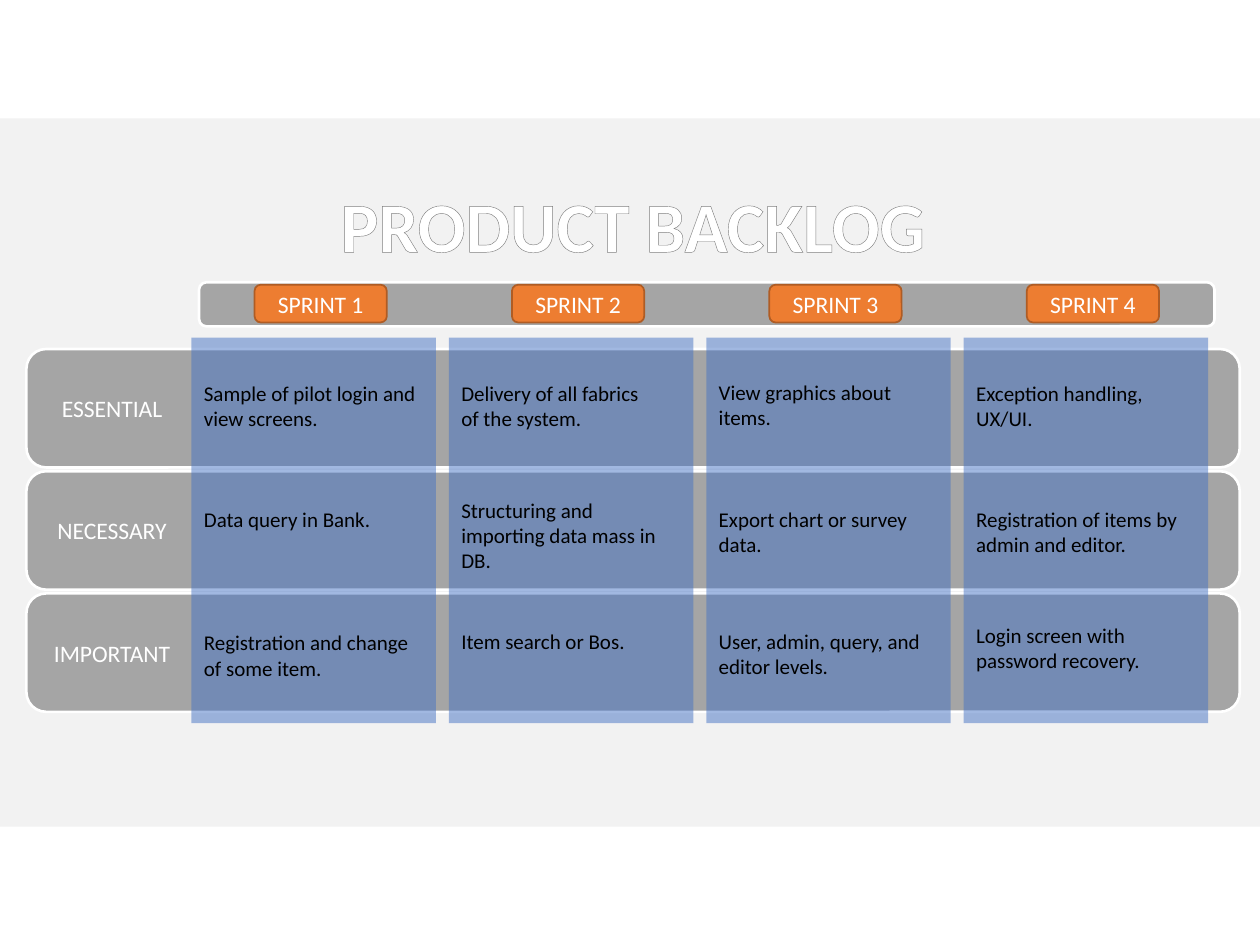
from lxml.etree import SubElement
from pptx import Presentation
from pptx.dml.color import RGBColor
from pptx.enum.shapes import MSO_SHAPE as SHAPE
from pptx.enum.text import MSO_ANCHOR as ANCHOR, MSO_AUTO_SIZE as AUTO_SIZE, PP_ALIGN as ALIGN
from pptx.oxml import parse_xml
from pptx.oxml.ns import nsdecls, qn
from pptx.util import Inches, Pt

TITLE = "PRODUCT BACKLOG"
PRIORITIES = ["ESSENTIAL", "NECESSARY", "IMPORTANT"]
SPRINTS = [
    ("SPRINT 1", [
        ("Sample of pilot login and view screens.", 2, 2.97),
        ("Data query in Bank.", 1, 3.97),
        ("Registration and change\nof some item.", 2, 4.95),
    ]),
    ("SPRINT 2", [
        ("Delivery of all fabrics\nof the system.", 2, 2.97),
        ("Structuring and importing data mass in DB.", 3, 3.9),
        ("Item search or Bos.", 1, 4.94),
    ]),
    ("SPRINT 3", [
        ("View graphics about items.", 2, 2.96),
        ("Export chart or survey data.", 2, 3.97),
        ("User, admin, query, and editor levels.", 2, 4.94),
    ]),
    ("SPRINT 4", [
        ("Exception handling, UX/UI.", 2, 2.97),
        ("Registration of items by admin and editor.", 2, 3.97),
        ("Login screen with password recovery.", 2, 4.89),
    ]),
]

THEME = {
    "font": "Calibri",
    "panel": "F2F2F2", "band": "A5A5A5", "white": "FFFFFF", "column": "4472C4",
    "badge": "ED7D31", "badge_line": "AF5C24", "story": "000000", "title_line": "808080",
    "title_size": 40.5, "label_size": 13.5, "story_size": 12,
}
COLUMN_LEFT, COLUMN_PITCH, COLUMN_WIDTH = 1.52, 2.043, 1.94
ROW_TOP, ROW_PITCH = 2.77, 0.97


def color(name):
    return RGBColor.from_string(THEME[name])


def add_block(slide, kind, box, fill=None, line=None, line_width=1.5):
    block = slide.shapes.add_shape(kind, *map(Inches, box))
    block.shadow.inherit = False
    if fill:
        block.fill.solid()
        block.fill.fore_color.rgb = color(fill)
    else:
        block.fill.background()
    if line:
        block.line.color.rgb = color(line)
        block.line.width = Pt(line_width)
    else:
        block.line.fill.background()
    return block


def write(frame, text, size, ink, align=ALIGN.LEFT, bold=False):
    frame.text = text
    for paragraph in frame.paragraphs:
        paragraph.alignment = align
        paragraph.font.name = THEME["font"]
        paragraph.font.size = Pt(THEME[size])
        paragraph.font.bold = bold
        paragraph.font.color.rgb = color(ink)


def add_label(block, text):
    block.text_frame.vertical_anchor = ANCHOR.MIDDLE
    write(block.text_frame, text, "label_size", "white", ALIGN.CENTER)


def add_title(slide):
    frame = slide.shapes.add_textbox(*map(Inches, (2.61, 1.4, 4.83, 0.76))).text_frame
    frame.word_wrap = False
    frame.auto_size = AUTO_SIZE.SHAPE_TO_FIT_TEXT
    frame.margin_left = frame.margin_right = Inches(0.07)
    frame.margin_top = frame.margin_bottom = Inches(0.04)
    write(frame, TITLE, "title_size", "white", ALIGN.CENTER, bold=True)
    outline = parse_xml(
        f'<a:ln {nsdecls("a")} w="{Pt(0.8)}"><a:solidFill>'
        f'<a:srgbClr val="{THEME["title_line"]}"/></a:solidFill></a:ln>'
    )
    frame.paragraphs[0].runs[0]._r.get_or_add_rPr().insert(0, outline)


def add_story(slide, left, text, lines, top):
    box = (left, top, COLUMN_WIDTH, 0.1 + 0.2 * lines)
    frame = slide.shapes.add_textbox(*map(Inches, box)).text_frame
    frame.word_wrap = True
    frame.auto_size = AUTO_SIZE.SHAPE_TO_FIT_TEXT
    write(frame, text, "story_size", "story")


def main():
    deck = Presentation()
    deck.slide_width, deck.slide_height = Inches(10), Inches(7.5)
    slide = deck.slides.add_slide(deck.slide_layouts[6])
    lefts = [COLUMN_LEFT + COLUMN_PITCH * i for i in range(len(SPRINTS))]
    tops = [ROW_TOP + ROW_PITCH * i for i in range(len(PRIORITIES))]

    add_block(slide, SHAPE.RECTANGLE, (0, 0.94, 10, 5.62), "panel")
    for top in reversed(tops):
        add_block(slide, SHAPE.ROUNDED_RECTANGLE, (0.21, top, 9.63, 0.94), "band", "white")
    for left in lefts:
        column = add_block(slide, SHAPE.RECTANGLE, (left, 2.68, COLUMN_WIDTH, 3.06), "column")
        tint = column.fill._xPr.find(qn("a:solidFill"))[0]
        SubElement(tint, qn("a:alpha"), val="50000")

    add_block(slide, SHAPE.ROUNDED_RECTANGLE, (1.58, 2.24, 8.06, 0.35), "band", "white")
    for left, (sprint, _) in zip(lefts, SPRINTS):
        badge = add_block(slide, SHAPE.ROUNDED_RECTANGLE, (left + 0.5, 2.26, 1.05, 0.3),
                          "badge", "badge_line", 1)
        add_label(badge, sprint)
    for top, priority in zip(tops, PRIORITIES):
        label = add_block(slide, SHAPE.ROUND_2_DIAG_RECTANGLE, (0.26, top + 0.3, 1.26, 0.34))
        add_label(label, priority)

    add_title(slide)
    for left, (_, stories) in zip(lefts, SPRINTS):
        for story in stories:
            add_story(slide, left, *story)
    deck.save("out.pptx")


if __name__ == "__main__":
    main()
